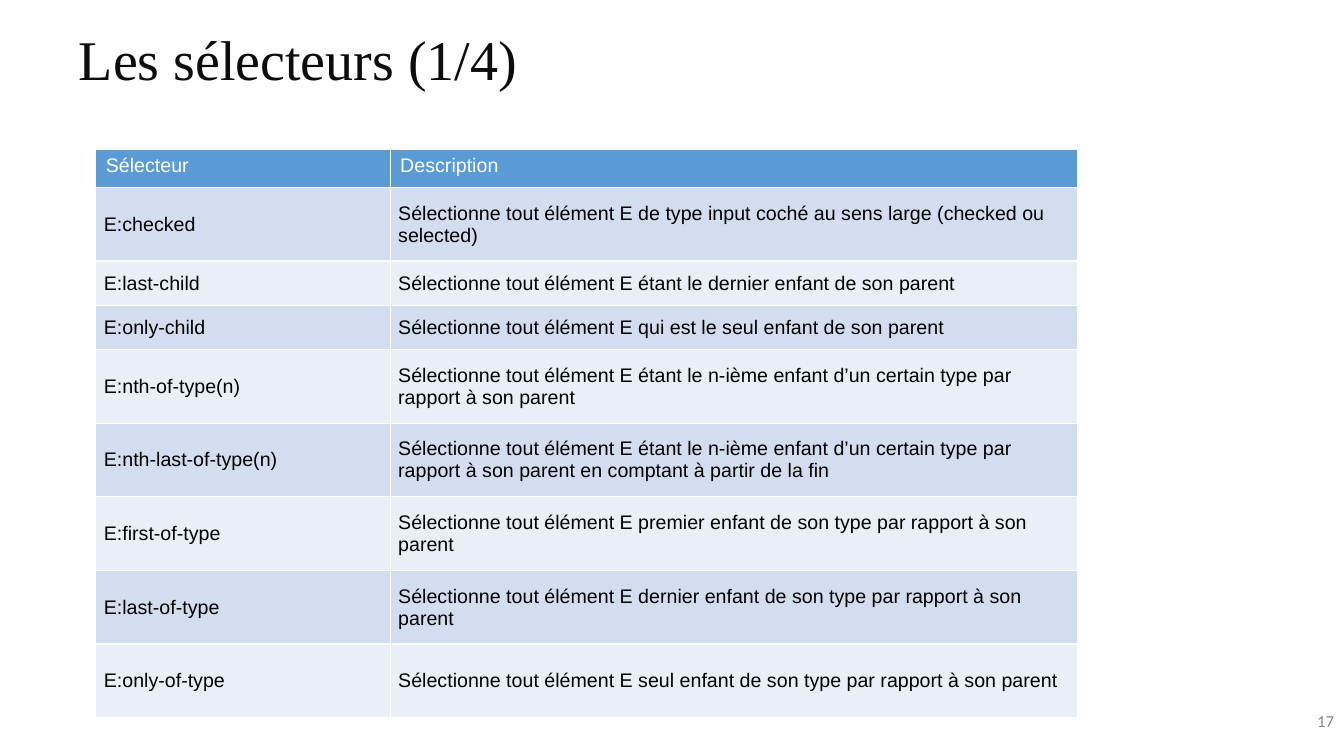
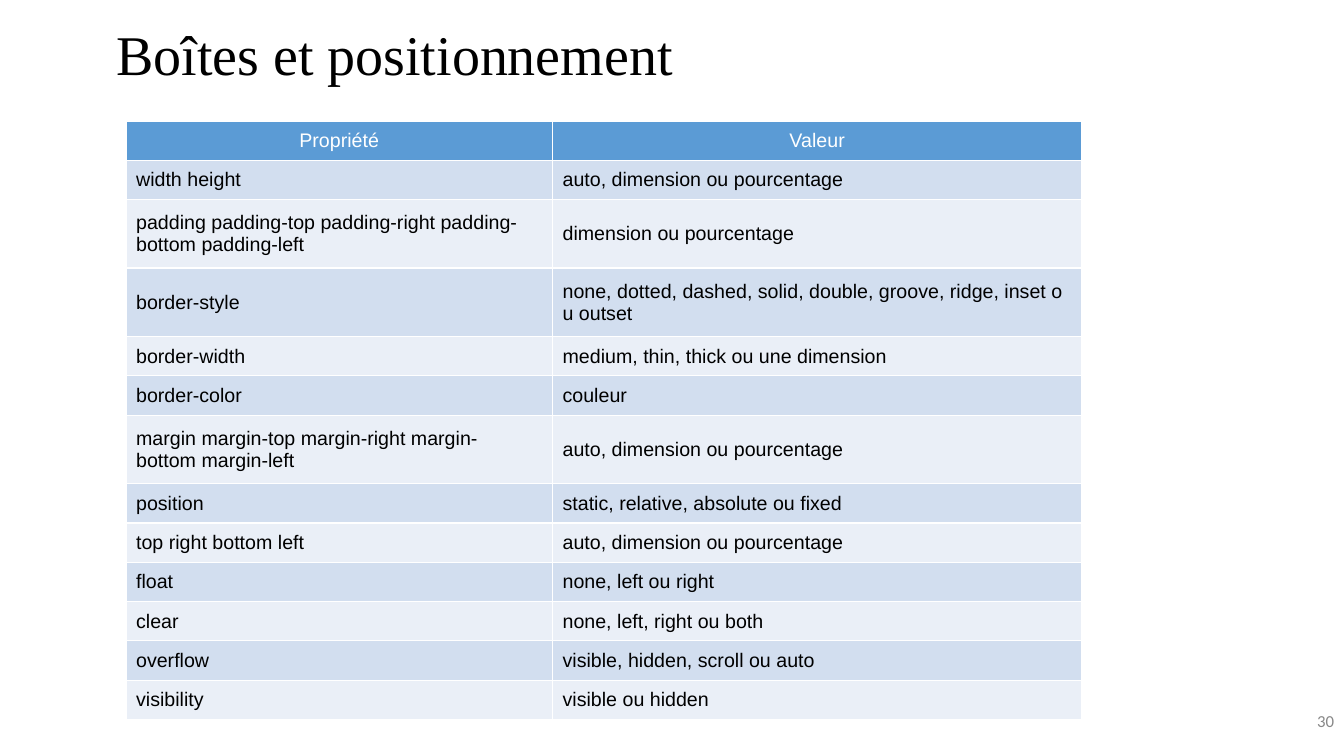
from dataclasses import dataclass

from pptx import Presentation
from pptx.dml.color import RGBColor
from pptx.enum.text import MSO_ANCHOR, MSO_AUTO_SIZE, PP_ALIGN
from pptx.util import Pt

LEFT, CENTER, RIGHT = PP_ALIGN.LEFT, PP_ALIGN.CENTER, PP_ALIGN.RIGHT
TOP, MIDDLE = MSO_ANCHOR.TOP, MSO_ANCHOR.MIDDLE
TITLE_ONLY = 5
EMU_PER_PX = 9144  # 100 px to the inch
NBSP = chr(160)


@dataclass(frozen=True)
class Theme:
    title_font: str = "Times New Roman"
    table_font: str = "Arial"
    number_font: str = "Calibri"
    title_size: int = 40
    table_size: int = 14
    number_size: int = 12
    black: str = "000000"
    ink: str = "0C0C0C"
    white: str = "FFFFFF"
    grey: str = "888888"
    header: str = "5B9BD5"
    bands: tuple = ("D2DEEF", "EAEFF7")


THEME = Theme()

SELECTORS = [
    ("Sélecteur", "Description"),
    ("E:checked", "Sélectionne tout élément E de type input coché au sens large (checked ou selected)"),
    ("E:last-child", "Sélectionne tout élément E étant le dernier enfant de son parent"),
    ("E:only-child", "Sélectionne tout élément E qui est le seul enfant de son parent"),
    ("E:nth-of-type(n)", "Sélectionne tout élément E étant le n-ième enfant d’un certain type par rapport à son parent"),
    ("E:nth-last-of-type(n)", "Sélectionne tout élément E étant le n-ième enfant d’un certain type par rapport à son parent en comptant à partir de la fin"),
    ("E:first-of-type", "Sélectionne tout élément E premier enfant de son type par rapport à son parent"),
    ("E:last-of-type", "Sélectionne tout élément E dernier enfant de son type par rapport à son parent"),
    ("E:only-of-type", "Sélectionne tout élément E seul enfant de son type par rapport à son parent"),
]

# "_" marks a non-breaking space
PROPERTIES = [
    ("Propriété", "Valeur"),
    ("width_height", "auto, dimension ou pourcentage"),
    ("padding_padding-top_padding-right_padding-bottom_padding-left", "dimension ou pourcentage"),
    ("border-style", "none,_dotted,_dashed,_solid,_double,_groove,_ridge,_inset_ou_outset"),
    ("border-width", "medium,_thin,_thick_ou une dimension"),
    ("border-color", "couleur"),
    ("margin_margin-top_margin-right_margin-bottom_margin-left", "auto, dimension ou pourcentage"),
    ("position", "static,_relative,_absolute_ou_fixed"),
    ("top_right_bottom_left", "auto, dimension ou pourcentage"),
    ("float", "none,_left_ou_right"),
    ("clear", "none,_left,_right_ou_both"),
    ("overflow", "visible,_hidden,_scroll_ou_auto"),
    ("visibility", "visible_ou_hidden"),
]


def px(n):
    return n * EMU_PER_PX


def style_text(tf, font, size, color, align):
    for p in tf.paragraphs:
        p.alignment = align
        for r in p.runs:
            r.font.name = font
            r.font.size = Pt(size)
            r.font.bold = False
            r.font.color.rgb = RGBColor.from_string(color)


def place(sp, left, top, width, height):
    sp.left, sp.top, sp.width, sp.height = map(px, (left, top, width, height))


# Title and page number
def add_titled_slide(prs, title, box, color, number):
    s = prs.slides.add_slide(prs.slide_layouts[TITLE_ONLY])
    sp = s.shapes.title
    place(sp, *box)
    tf = sp.text_frame
    tf.text = title
    tf.word_wrap = True
    tf.auto_size = MSO_AUTO_SIZE.NONE
    tf.vertical_anchor = TOP
    style_text(tf, THEME.title_font, THEME.title_size, color, CENTER)

    tf = s.shapes.add_textbox(*map(px, (1100, 695, 233, 40))).text_frame
    tf.text = str(number)
    tf.word_wrap = True
    tf.vertical_anchor = MIDDLE
    style_text(tf, THEME.number_font, THEME.number_size, THEME.grey, RIGHT)
    return s


# Table with a header row and alternating bands
def fill_cell(cell, text, fill, color, align, anchor, inset=None):
    cell.text = text
    cell.vertical_anchor = anchor
    cell.fill.solid()
    cell.fill.fore_color.rgb = RGBColor.from_string(fill)
    if inset is not None:
        cell.margin_left = cell.margin_right = px(inset)
        cell.margin_top = cell.margin_bottom = px(inset)
    style_text(cell.text_frame, THEME.table_font, THEME.table_size, color, align)


def add_banded_table(s, left, top, widths, heights, rows,
                     header_align=LEFT, header_anchor=TOP, inset=None):
    frame = s.shapes.add_table(len(rows), len(widths), px(left), px(top),
                               px(sum(widths)), px(sum(heights)))
    table = frame.table
    for column, width in zip(table.columns, widths):
        column.width = px(width)
    for i, (row, height, texts) in enumerate(zip(table.rows, heights, rows)):
        row.height = px(height)
        for cell, text in zip(row.cells, texts):
            if i == 0:
                fill_cell(cell, text, THEME.header, THEME.white,
                          header_align, header_anchor)
            else:
                fill_cell(cell, text.replace("_", NBSP), THEME.bands[(i - 1) % 2],
                          THEME.black, LEFT, MIDDLE, inset)


def add_selectors_slide(prs):
    s = add_titled_slide(prs, "Les sélecteurs (1/4) ", (-143, 19, 891, 79),
                         THEME.ink, 17)
    one_line, two_lines = 44, 73
    heights = [38, two_lines, one_line, one_line] + [two_lines] * 5
    add_banded_table(s, 95, 148, (292, 682), heights, SELECTORS, inset=8)


def add_properties_slide(prs):
    s = add_titled_slide(prs, "Boîtes et positionnement", (-54, 14, 891, 142),
                         THEME.black, 30)
    one_line, two_lines = 39, 68
    tall_rows = (2, 3, 6)
    heights = [two_lines if i in tall_rows else one_line
               for i in range(len(PROPERTIES))]
    add_banded_table(s, 125, 120, (423, 525), heights, PROPERTIES,
                     header_align=CENTER, header_anchor=MIDDLE)


def main():
    prs = Presentation()
    prs.slide_width, prs.slide_height = px(1333), px(750)
    add_selectors_slide(prs)
    add_properties_slide(prs)
    prs.save("out.pptx")


if __name__ == "__main__":
    main()
